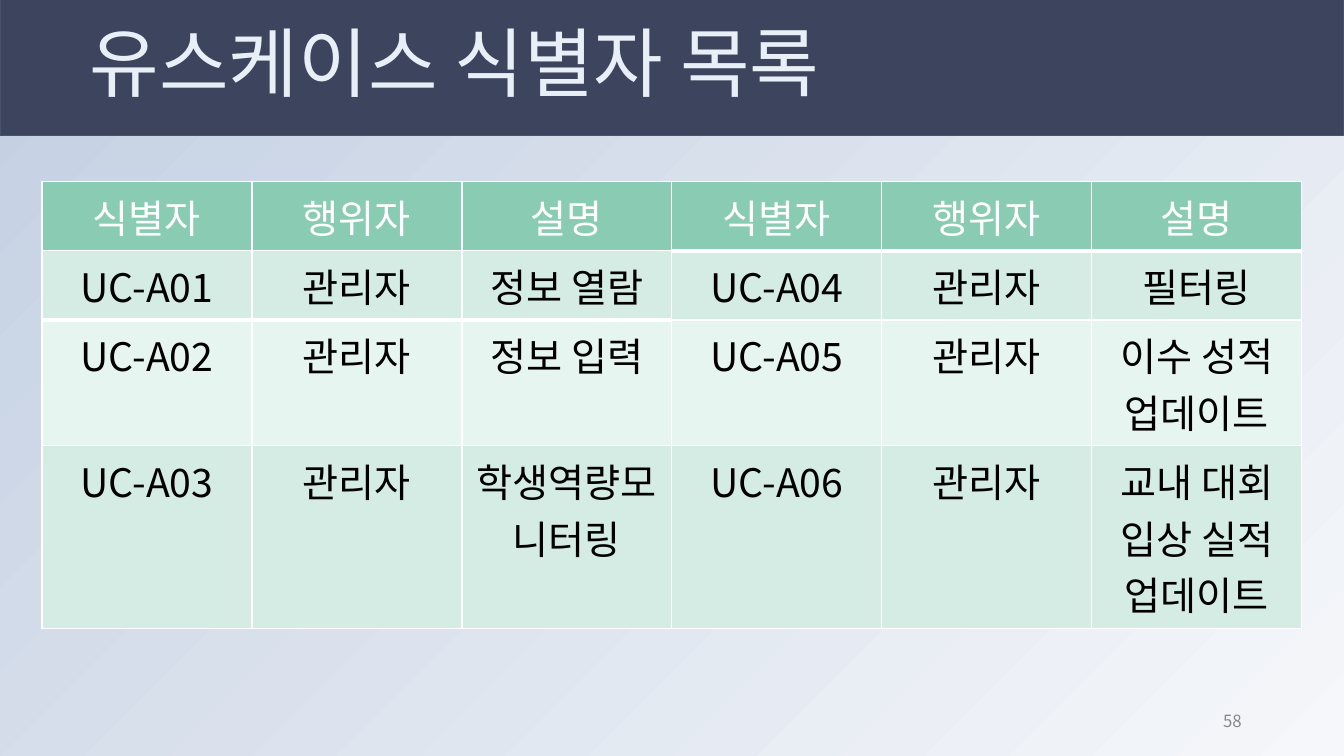
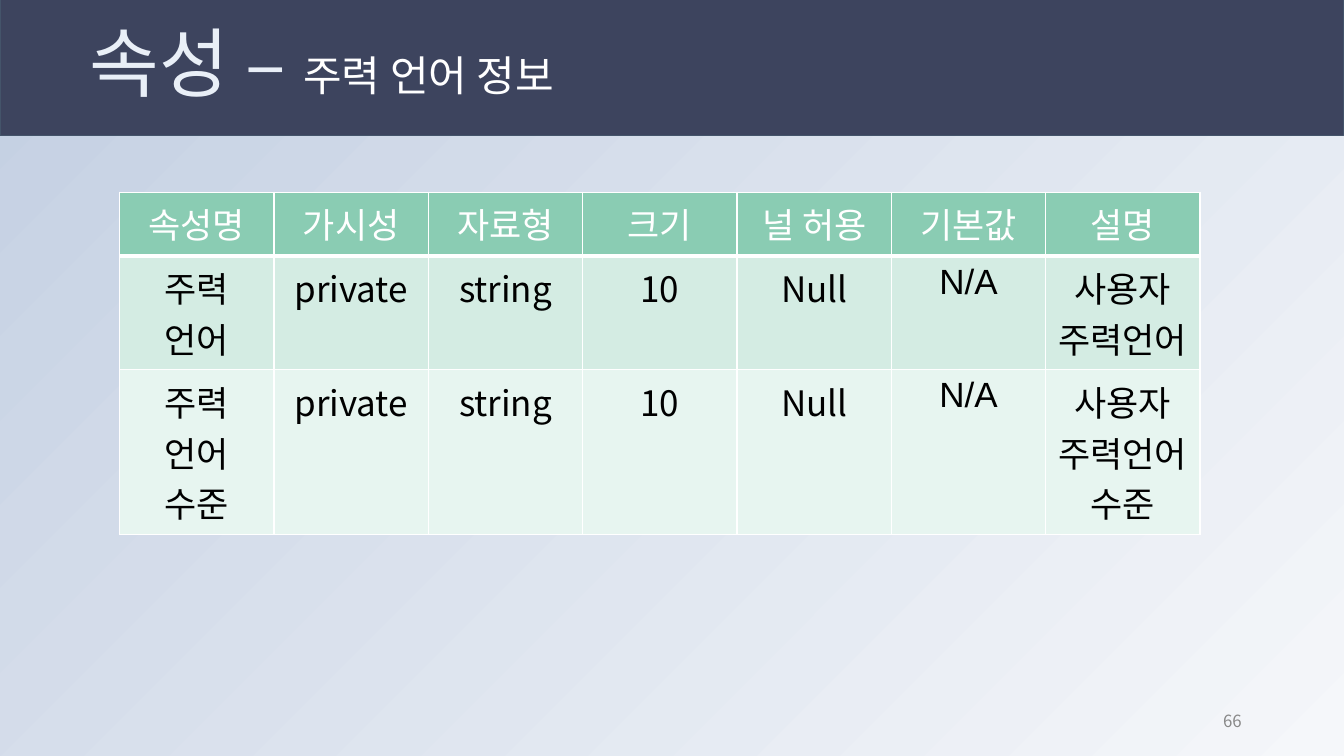
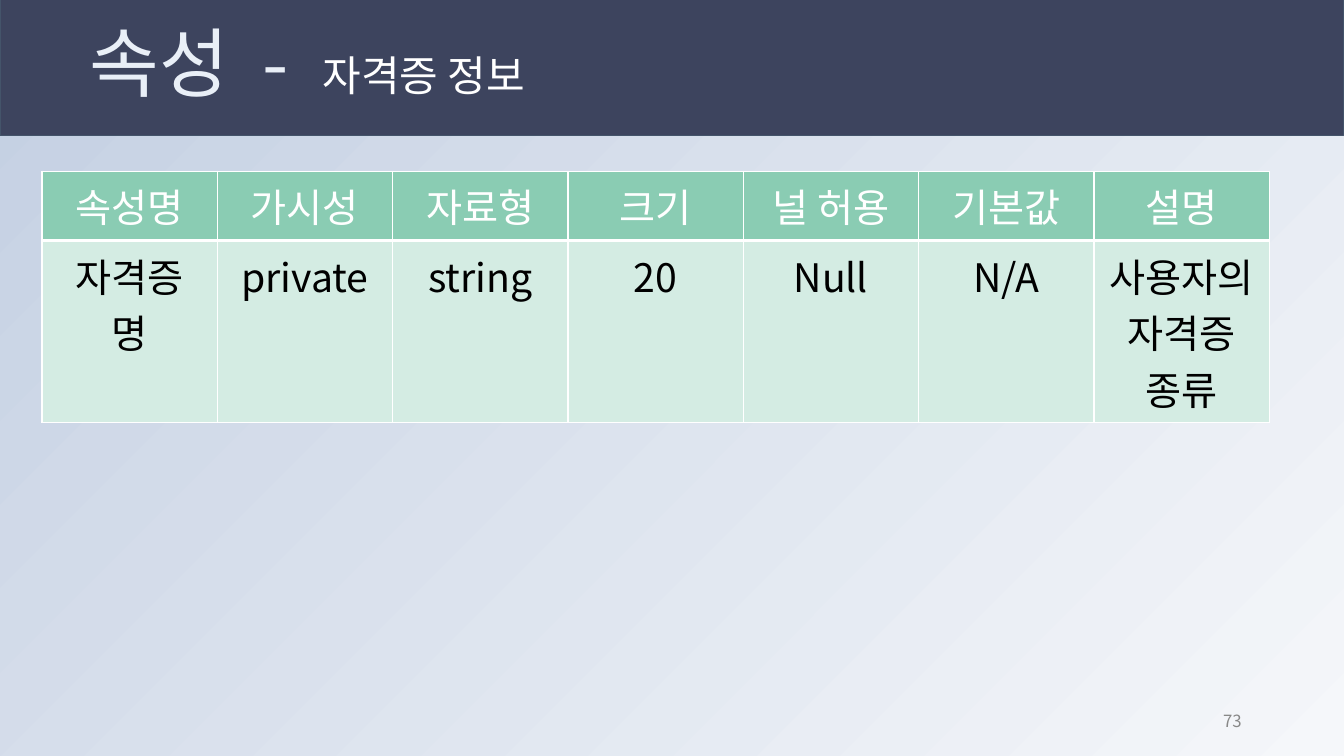
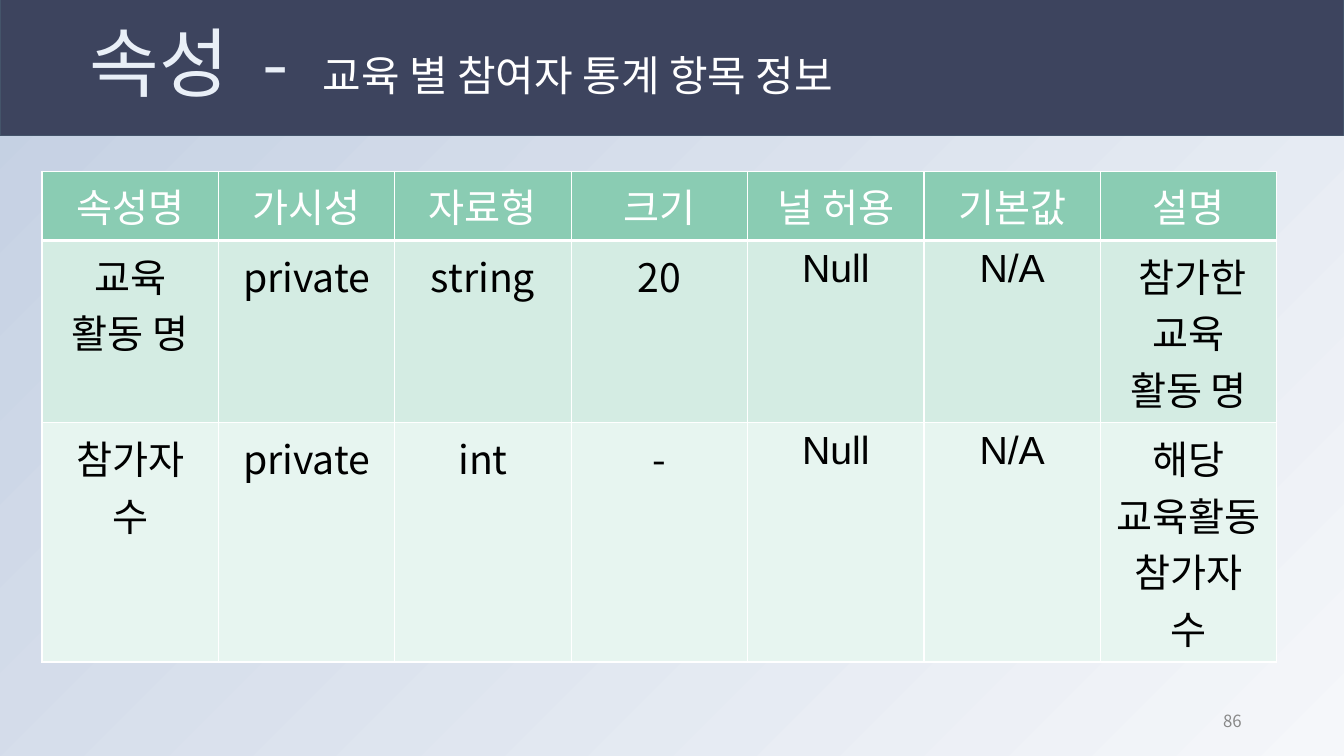
from lxml.etree import SubElement
from pptx import Presentation
from pptx.dml.color import RGBColor
from pptx.enum.shapes import MSO_SHAPE as Shape
from pptx.enum.text import MSO_ANCHOR as Anchor, MSO_AUTO_SIZE as AutoSize, PP_ALIGN as Align
from pptx.oxml.ns import qn
from pptx.util import Pt

PX = 9525
NOTO = "Noto Sans CJK KR"
NAVY = RGBColor(0x3D, 0x44, 0x5E)
SLATE = RGBColor(0x44, 0x54, 0x6A)
ICE = RGBColor(0xE9, 0xEF, 0xF7)
WHITE = RGBColor(0xFF, 0xFF, 0xFF)
BLACK = RGBColor(0x00, 0x00, 0x00)
GRAY = RGBColor(0x88, 0x88, 0x88)
GREEN = RGBColor(0x8A, 0xCC, 0xB3)
MINT = RGBColor(0xD4, 0xEC, 0xE3)
PALE_MINT = RGBColor(0xE7, 0xF5, 0xF0)
BACKGROUND = (RGBColor(0xF5, 0xF7, 0xFA), RGBColor(0xC3, 0xCF, 0xE2))

USE_CASE_HEADER = ["식별자", "행위자", "설명"] * 2
ATTRIBUTE_HEADER = ["속성명", "가시성", "자료형", "크기", "널 허용", "기본값", "설명"]

SLIDES = [
    dict(
        number=58, title="유스케이스 식별자 목록", dash="", subtitle="",
        left=40, top=173, column=200, size=28, arial=(), heavy=[1, 1, 1, 0, 0, 0],
        rows=[
            USE_CASE_HEADER,
            ["UC-A01", "관리자", "정보 열람", "UC-A04", "관리자", "필터링"],
            ["UC-A02", "관리자", "정보 입력", "UC-A05", "관리자", "이수 성적 업데이트"],
            ["UC-A03", "관리자", "학생역량모니터링", "UC-A06", "관리자", "교내 대회 입상 실적 업데이트"],
        ],
    ),
    dict(
        number=66, title="속성", dash=" –", subtitle="주력 언어 정보",
        left=114, top=183, column=147, size=25, arial=("N/A",), heavy=[0] * 7,
        rows=[
            ATTRIBUTE_HEADER,
            ["주력 언어", "private", "string", "10", "Null", "N/A", "사용자 주력언어"],
            ["주력 언어 수준", "private", "string", "10", "Null", "N/A", "사용자 주력언어 수준"],
        ],
    ),
    dict(
        number=73, title="속성", dash=" -", subtitle="자격증 정보",
        left=40, top=163, column=167, size=28, arial=(), heavy=[0] * 7,
        rows=[
            ATTRIBUTE_HEADER,
            ["자격증 명", "private", "string", "20", "Null", "N/A", "사용자의 자격증 종류"],
        ],
    ),
    dict(
        number=86, title="속성", dash=" -", subtitle="교육 별 참여자 통계 항목 정보",
        left=40, top=163, column=168, size=28, arial=("Null", "N/A"), heavy=[0] * 7,
        rows=[
            ATTRIBUTE_HEADER,
            ["교육 활동 명", "private", "string", "20", "Null", "N/A", " 참가한 교육 활동 명"],
            ["참가자 수", "private", "int", "-", "Null", "N/A", "해당 교육활동 참가자 수"],
        ],
    ),
]


def add_text(paragraph, text, size, color, name=NOTO, align=Align.LEFT, spacing=0):
    paragraph.alignment = align
    run = paragraph.add_run()
    run.text = text
    run.font.size = Pt(size)
    run.font.bold = False
    run.font.color.rgb = color
    run.font.name = name
    properties = run.font._element
    SubElement(properties, qn("a:ea"), typeface=NOTO)
    if spacing:
        properties.set("spc", str(spacing * 100))


def set_borders(cell, widths):
    properties = cell._tc.get_or_add_tcPr()
    for position, (side, width) in enumerate(widths.items()):
        line = SubElement(properties, qn(f"a:ln{side}"), w=str(Pt(width)))
        fill = SubElement(line, qn("a:solidFill"))
        SubElement(fill, qn("a:srgbClr"), val=str(WHITE))
        properties.insert(position, line)


presentation = Presentation()
presentation.slide_width = 1280 * PX
presentation.slide_height = 720 * PX
title_only = presentation.slide_layouts[5]

background = presentation.slide_master.background.fill
background.gradient()
background.gradient_angle = 135
for stop, color in zip(background.gradient_stops, BACKGROUND):
    stop.color.rgb = color

for content in SLIDES:
    slide = presentation.slides.add_slide(title_only)
    title = slide.shapes.title
    title.left, title.top, title.width, title.height = 76 * PX, -6 * PX, 1104 * PX, 139 * PX
    title.text_frame.auto_size = AutoSize.NONE
    title.text_frame.vertical_anchor = Anchor.MIDDLE
    paragraph = title.text_frame.paragraphs[0]
    paragraph.line_spacing = 0.9
    add_text(paragraph, content["title"], 54, ICE)
    if content["subtitle"]:
        add_text(paragraph, content["dash"], 54, ICE, spacing=12 if "-" in content["dash"] else 0)
        add_text(paragraph, " ", 54, ICE)
        add_text(paragraph, content["subtitle"], 30, WHITE)

    band = slide.shapes.add_shape(Shape.RECTANGLE, 0, -1 * PX, 1280 * PX, 130 * PX)
    band.shadow.inherit = False
    band.fill.solid()
    band.fill.fore_color.rgb = NAVY
    band.line.color.rgb = SLATE
    band.line.width = Pt(0.75)
    title.element.addprevious(band.element)

    rows, heavy = content["rows"], content["heavy"]
    column_count = len(rows[0])
    table = slide.shapes.add_table(
        len(rows), column_count, content["left"] * PX, content["top"] * PX,
        content["column"] * column_count * PX, 61 * len(rows) * PX,
    ).table
    table.first_row = False
    table.horz_banding = False
    for row_index, row in enumerate(rows):
        for column_index, text in enumerate(row):
            cell = table.cell(row_index, column_index)
            cell.margin_left = cell.margin_right = 12 * PX
            cell.margin_top = cell.margin_bottom = 6 * PX
            cell.fill.solid()
            cell.fill.fore_color.rgb = GREEN if row_index == 0 else (PALE_MINT, MINT)[row_index % 2]
            heavy_row = heavy[column_index]
            set_borders(cell, {
                "L": 1,
                "R": 1,
                "T": 3 if row_index == heavy_row + 1 else 1,
                "B": 3 if row_index == heavy_row else 1,
            })
            add_text(
                cell.text_frame.paragraphs[0], text, content["size"],
                BLACK if row_index else WHITE,
                name="Arial" if text in content["arial"] else NOTO,
                align=Align.CENTER,
            )

    number = slide.shapes.add_textbox(904 * PX, 667 * PX, 288 * PX, 38 * PX).text_frame
    number.word_wrap = True
    number.vertical_anchor = Anchor.MIDDLE
    add_text(number.paragraphs[0], str(content["number"]), 12, GRAY, align=Align.RIGHT)

presentation.save("out.pptx")
